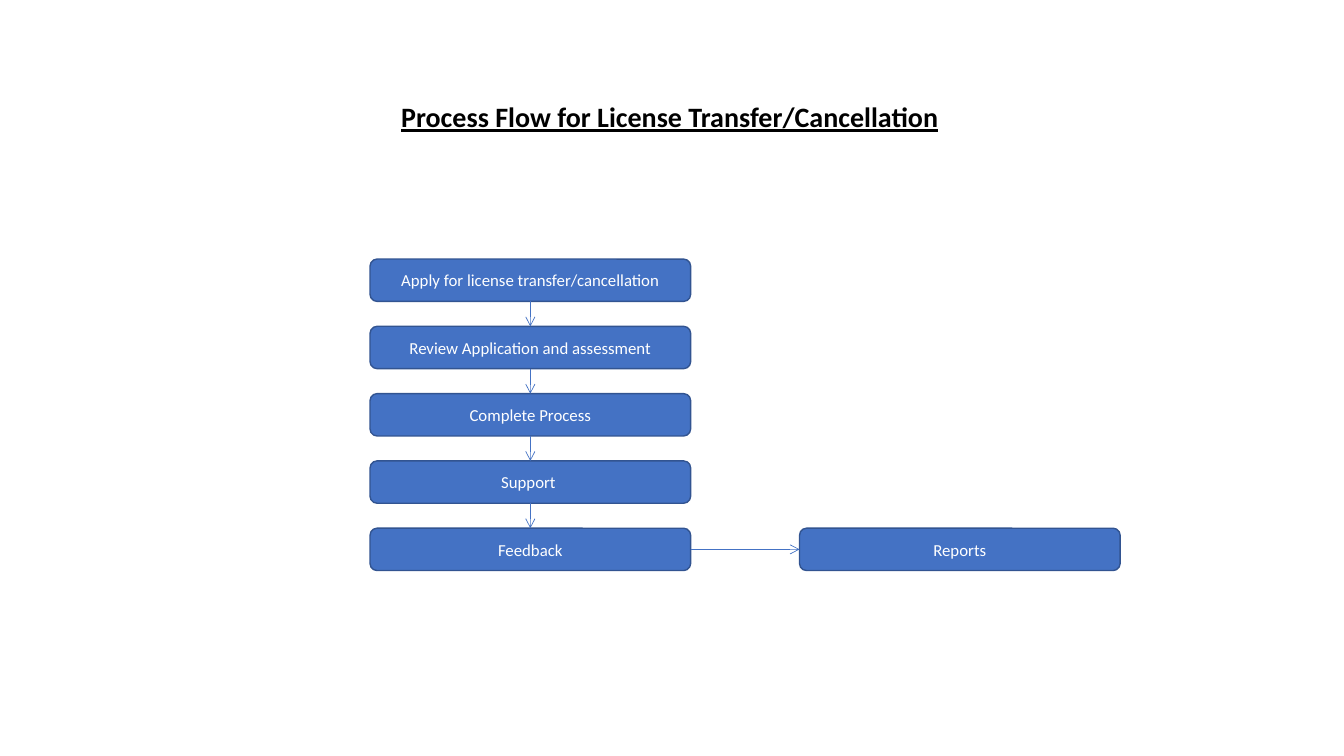
from dataclasses import dataclass

import lxml.etree
import pptx
import pptx.dml.color
import pptx.enum.shapes
import pptx.enum.text
import pptx.oxml.ns
import pptx.util

Inches = pptx.util.Inches
Pt = pptx.util.Pt
RGB = pptx.dml.color.RGBColor
qn = pptx.oxml.ns.qn


@dataclass(frozen=True)
class Theme:
    """Colours, font and type sizes of the slide."""
    font: str = "Calibri"
    title_size: float = 20
    step_size: float = 12
    title_color: RGB = RGB(0x00, 0x00, 0x00)
    step_text: RGB = RGB(0xFF, 0xFF, 0xFF)
    step_fill: RGB = RGB(0x44, 0x72, 0xC4)
    step_border: RGB = RGB(0x32, 0x54, 0x91)
    border_width: float = 1
    arrow_width: float = 0.5


THEME = Theme()
STEPS = [
    "Apply for license transfer/cancellation",
    "Review Application and assessment",
    "Complete Process",
    "Support ",
    "Feedback",
]
STEP_WIDTH, STEP_HEIGHT = 3.18, 0.42
TOP, LEFT, BOTTOM, RIGHT = range(4)


def style_font(font, size, color):
    """Apply the theme font with a size and colour."""
    font.name = THEME.font
    font.size = Pt(size)
    font.color.rgb = color


def add_title(slide, left, top, width, height):
    """Place the underlined heading in the given box."""
    heading = slide.shapes.add_textbox(
        Inches(left), Inches(top), Inches(width), Inches(height))
    frame = heading.text_frame
    frame.text = "Process Flow for License Transfer/Cancellation"
    frame.word_wrap = False
    frame.auto_size = pptx.enum.text.MSO_AUTO_SIZE.SHAPE_TO_FIT_TEXT
    font = frame.paragraphs[0].runs[0].font
    style_font(font, THEME.title_size, THEME.title_color)
    font.bold = True
    font.underline = True


def add_step(slide, label, left, top):
    """Draw one rounded process step and return it."""
    step = slide.shapes.add_shape(
        pptx.enum.shapes.MSO_SHAPE.ROUNDED_RECTANGLE,
        Inches(left), Inches(top), Inches(STEP_WIDTH), Inches(STEP_HEIGHT))
    step.shadow.inherit = False
    step.fill.solid()
    step.fill.fore_color.rgb = THEME.step_fill
    step.line.color.rgb = THEME.step_border
    step.line.width = Pt(THEME.border_width)
    frame = step.text_frame
    frame.text = label
    frame.word_wrap = True
    frame.vertical_anchor = pptx.enum.text.MSO_ANCHOR.MIDDLE
    paragraph = frame.paragraphs[0]
    paragraph.alignment = pptx.enum.text.PP_ALIGN.CENTER
    style_font(paragraph.runs[0].font, THEME.step_size, THEME.step_text)
    return step


def add_arrow(slide, source, source_side, target, target_side):
    """Join two steps with an open-headed arrow."""
    arrow = slide.shapes.add_connector(
        pptx.enum.shapes.MSO_CONNECTOR.STRAIGHT, 0, 0, 0, 0)
    arrow.begin_connect(source, source_side)
    arrow.end_connect(target, target_side)
    arrow.line.color.rgb = THEME.step_fill
    arrow.line.width = Pt(THEME.arrow_width)
    outline = arrow.line._get_or_add_ln()
    lxml.etree.SubElement(outline, qn("a:tailEnd"), type="arrow")
    lxml.etree.SubElement(arrow._element.spPr, qn("a:effectLst"))


def add_flow(slide, left, top, width, height):
    """Stack the steps at the left of the box and put the reports at its lower right."""
    pitch = (height - STEP_HEIGHT) / (len(STEPS) - 1)
    steps = [add_step(slide, label, left, top + row * pitch)
             for row, label in enumerate(STEPS)]
    reports = add_step(slide, "Reports", left + width - STEP_WIDTH,
                       top + height - STEP_HEIGHT)
    for upper, lower in zip(steps, steps[1:]):
        add_arrow(slide, upper, BOTTOM, lower, TOP)
    add_arrow(slide, steps[-1], RIGHT, reports, LEFT)


def main():
    """Build and save the process flow slide."""
    deck = pptx.Presentation()
    deck.slide_width = Inches(13.33)
    deck.slide_height = Inches(7.5)
    slide = deck.slides.add_slide(deck.slide_layouts[6])
    add_title(slide, 3.88, 0.94, 5.58, 0.44)
    add_flow(slide, 3.67, 2.57, 7.44, 3.09)
    deck.save("out.pptx")


if __name__ == "__main__":
    main()
